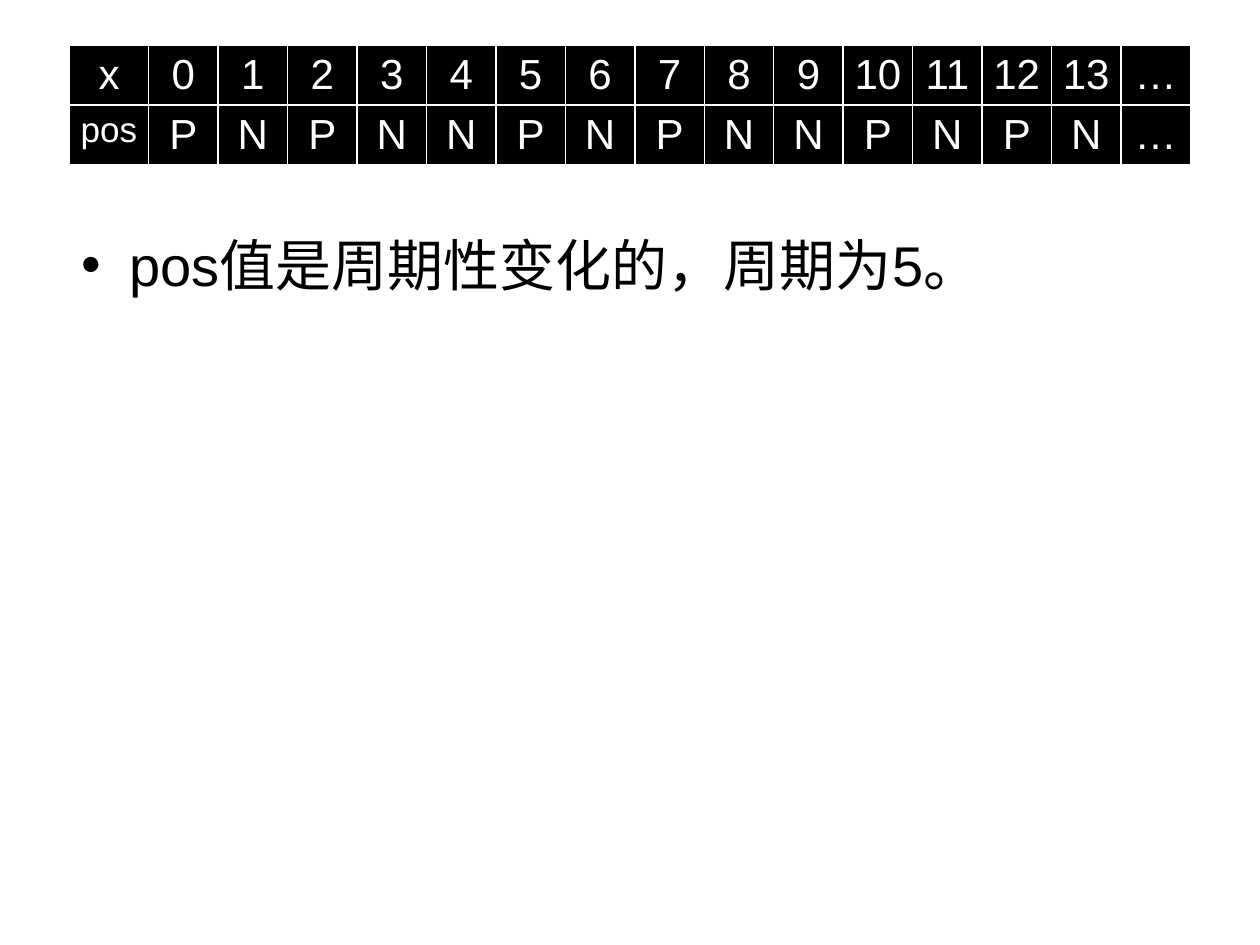
from lxml.etree import SubElement
from pptx import Presentation
from pptx.dml.color import RGBColor
from pptx.enum.text import PP_ALIGN
from pptx.oxml.ns import qn
from pptx.util import Inches, Pt


def color(value):
    return RGBColor.from_string(value)


class SlideBuilder:
    font = "Arial"
    dark = "000000"
    light = "FFFFFF"

    def __init__(self, slide):
        self.slide = slide

    def add_run(self, paragraph, text, size, ink):
        run = paragraph.add_run()
        run.text = text
        run.font.name = self.font
        run.font.size = Pt(size)
        run.font.color.rgb = color(ink)

    def remove_title(self):
        title = self.slide.shapes.title.element
        title.getparent().remove(title)

    def bullet(self, text, left, top, width, height):
        body = self.slide.placeholders[1]
        body.left, body.top = Inches(left), Inches(top)
        body.width, body.height = Inches(width), Inches(height)
        self.add_run(body.text_frame.paragraphs[0], text, 32, self.dark)

    def borders(self, cell):
        properties = cell._tc.get_or_add_tcPr()
        for side in ("a:lnL", "a:lnR", "a:lnT", "a:lnB"):
            line = SubElement(properties, qn(side), w=str(Pt(1)))
            fill = SubElement(line, qn("a:solidFill"))
            SubElement(fill, qn("a:srgbClr"), val=self.light)

    def cell(self, cell, text):
        self.borders(cell)
        cell.fill.solid()
        cell.fill.fore_color.rgb = color(self.dark)
        cell.margin_left = cell.margin_right = Inches(0.07)
        cell.margin_top = cell.margin_bottom = Inches(0.05)
        paragraph = cell.text_frame.paragraphs[0]
        paragraph.alignment = PP_ALIGN.CENTER
        self.add_run(paragraph, text, 20 if text == "pos" else 24, self.light)

    def table(self, rows, left, top, width, label_width, row_height):
        count = len(rows[0])
        table = self.slide.shapes.add_table(
            len(rows), count, Inches(left), Inches(top),
            Inches(width), Inches(row_height * len(rows))).table
        for column in table.columns:
            column.width = Inches((width - label_width) / (count - 1))
        table.columns[0].width = Inches(label_width)
        for r, row in enumerate(rows):
            table.rows[r].height = Inches(row_height)
            for c, text in enumerate(row):
                self.cell(table.cell(r, c), text)


def main():
    deck = Presentation()
    deck.slide_width, deck.slide_height = Inches(10), Inches(7.5)
    builder = SlideBuilder(deck.slides.add_slide(deck.slide_layouts[1]))
    builder.remove_title()
    builder.bullet("pos值是周期性变化的，周期为5。", 0.55, 1.78, 9, 0.79)

    cycle = "PNPNN"
    numbers = range(14)
    positions = [cycle[x % len(cycle)] for x in numbers]
    builder.table(
        [["x", *map(str, numbers), "…"], ["pos", *positions, "…"]],
        0.55, 0.36, 8.9, 0.63, 0.31)
    deck.save("out.pptx")


if __name__ == "__main__":
    main()
